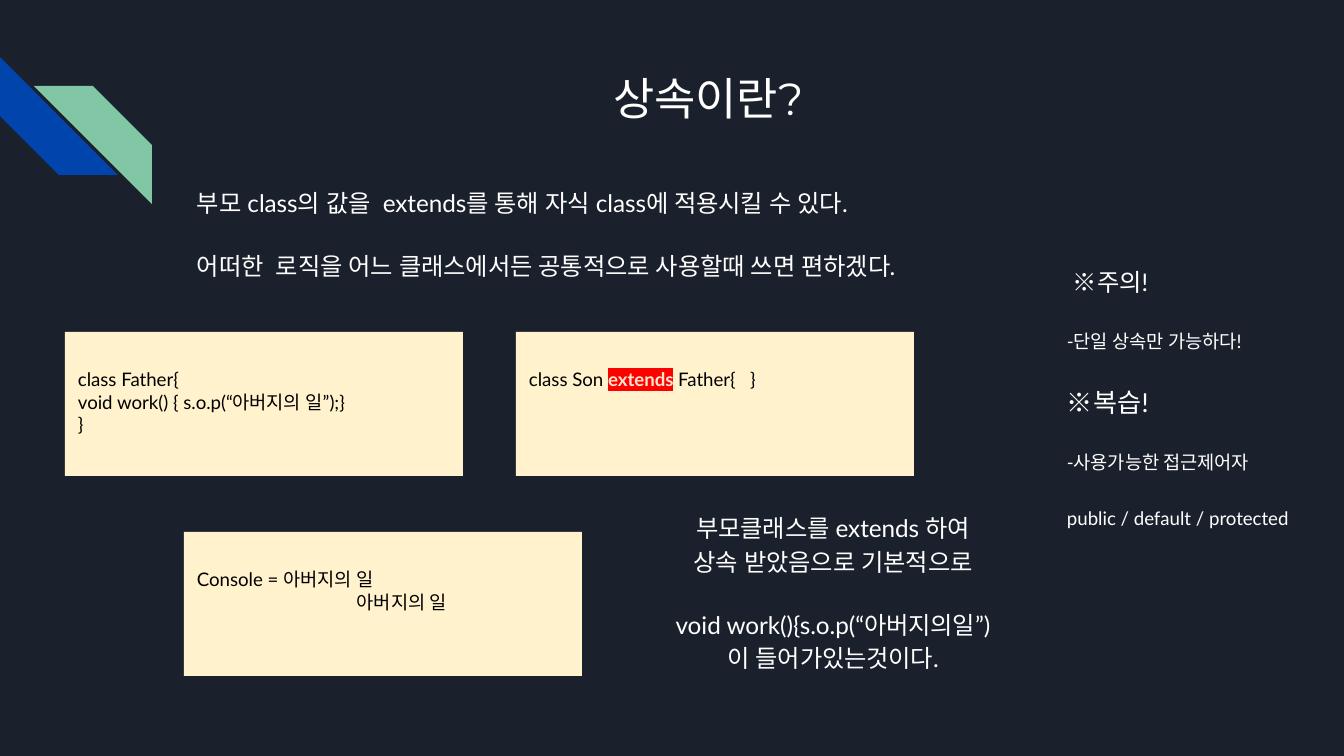
"""Build the slide that explains class inheritance."""
from lxml import etree
from pptx import Presentation
from pptx.dml.color import RGBColor
from pptx.enum.shapes import MSO_SHAPE
from pptx.enum.text import MSO_ANCHOR, PP_ALIGN
from pptx.oxml.ns import qn
from pptx.util import Emu, Pt

STRIPE, RECTANGLE = MSO_SHAPE.DIAGONAL_STRIPE, MSO_SHAPE.RECTANGLE
TOP, LEFT, CENTER = MSO_ANCHOR.TOP, PP_ALIGN.LEFT, PP_ALIGN.CENTER
SCALE = 914400 / 134.4
WIDTH, HEIGHT = 1344, 756
INSET, CARD_INSET_TOP = 13, 36
CARD_SIZE, STRIPE_SIZE = (398, 144), (118, 118)
COLORS = {
    "background": "1B212C", "blue": "0145AC", "green": "82C7A5", "card": "FFF2CC",
    "white": "FFFFFF", "black": "000000", "cream": "FCE5CD", "red": "FF0000",
}

STRIPES = [
    {"at": (0, 57), "fill": "blue", "rotation": 270, "flip": False},
    {"at": (34, 86), "fill": "green", "rotation": 0, "flip": True},
]
CARDS = [
    ((65, 332), [
        {"text": "class Father{"},
        {"text": "void work() { s.o.p(“아버지의 일”);}"},
        {"text": "}"},
    ]),
    ((516, 332), [
        {"text": ["class Son ", ("extends",), " Father{   }"]},
    ]),
    ((184, 532), [
        {"text": "Console = 아버지의 일"},
        {"text": "아버지의 일", "indent": 160},
    ]),
]
TITLE = ((191, 58, 1035, 134), [{"text": "상속이란?", "size": 24}])
BODIES = [
    ((184, 171, 1035, 427), LEFT, [
        {"text": "부모 class의 값을  extends를 통해 자식 class에 적용시킬 수 있다."},
        {"text": "어떠한  로직을 어느 클래스에서든 공통적으로 사용할때 쓰면 편하겠다."},
    ]),
    ((659, 496, 348, 208), CENTER, [
        {"text": "부모클래스를 extends 하여 상속 받았음으로 기본적으로"},
        {"text": "void work(){s.o.p(“아버지의일”)이 들어가있는것이다."},
    ]),
    ((1054, 250, 266, 448), LEFT, [
        {"text": "※주의!", "indent": 6},
        {"text": "-단일 상속만 가능하다!", "size": 10},
        {"text": "※복습!", "size": 14},
        {"text": "-사용가능한 접근제어자", "size": 10},
        {"text": "public / default / protected", "size": 10},
    ]),
]


def px(value):
    return Emu(round(value * SCALE))


def rgb(name):
    return RGBColor.from_string(COLORS[name])


def add_span(para, text, size, font_name, color, highlight=None):
    span = para.add_run()
    span.text = text
    formats = {"size": Pt(size), "bold": highlight is not None, "name": font_name}
    for name, value in formats.items():
        setattr(span.font, name, value)
    span.font.color.rgb = rgb(color)
    properties = span.font._element
    latin = properties.find(qn("a:latin"))
    for tag in ("a:cs", "a:ea"):
        face = etree.Element(qn(tag), typeface=font_name)
        latin.addnext(face)
    if highlight:
        mark = etree.Element(qn("a:highlight"))
        etree.SubElement(mark, qn("a:srgbClr"), val=COLORS[highlight])
        properties.find(qn("a:solidFill")).addnext(mark)


def write(shape, lines, size, color, align=LEFT, font_name="Lato",
          line_spacing=None, gap=0, inset_top=INSET):
    frame = shape.text_frame
    frame_formats = {
        "word_wrap": True, "vertical_anchor": TOP,
        "margin_left": px(INSET), "margin_right": px(INSET),
        "margin_top": px(inset_top), "margin_bottom": px(INSET),
    }
    for name, value in frame_formats.items():
        setattr(frame, name, value)
    for index, line in enumerate(lines):
        para = frame.add_paragraph() if index else frame.paragraphs[0]
        para.alignment = align
        if line_spacing:
            para.line_spacing = line_spacing
        if index and gap:
            para.space_before = Pt(gap)
        if "indent" in line:
            para._p.get_or_add_pPr().set("marL", str(px(line["indent"])))
        parts = [line["text"]] if isinstance(line["text"], str) else line["text"]
        for part in parts:
            if isinstance(part, tuple):
                add_span(para, part[0], line.get("size", size), font_name, "cream", "red")
            else:
                add_span(para, part, line.get("size", size), font_name, color)


def add_filled(page, kind, at, size, fill):
    shape = page.shapes.add_shape(kind, *map(px, at + size))
    shape.shadow.inherit = False
    shape.fill.solid()
    shape.fill.fore_color.rgb = rgb(fill)
    shape.line.fill.background()
    return shape


def main():
    deck = Presentation()
    deck.slide_width, deck.slide_height = px(WIDTH), px(HEIGHT)
    page = deck.slides.add_slide(deck.slide_layouts[6])
    page.background.fill.solid()
    page.background.fill.fore_color.rgb = rgb("background")

    for stripe in STRIPES:
        shape = add_filled(page, STRIPE, stripe["at"], STRIPE_SIZE, stripe["fill"])
        shape.rotation = stripe["rotation"]
        if stripe["flip"]:
            shape._element.spPr.find(qn("a:xfrm")).set("flipH", "1")

    area, lines = TITLE
    write(page.shapes.add_textbox(*map(px, area)), lines, 24, "white", CENTER, "Montserrat")
    for area, align, lines in BODIES:
        box = page.shapes.add_textbox(*map(px, area))
        write(box, lines, 13, "white", align, line_spacing=1.15, gap=16)
    for at, lines in CARDS:
        card = add_filled(page, RECTANGLE, at, CARD_SIZE, "card")
        write(card, lines, 10, "black", inset_top=CARD_INSET_TOP)

    deck.save("out.pptx")


if __name__ == "__main__":
    main()
